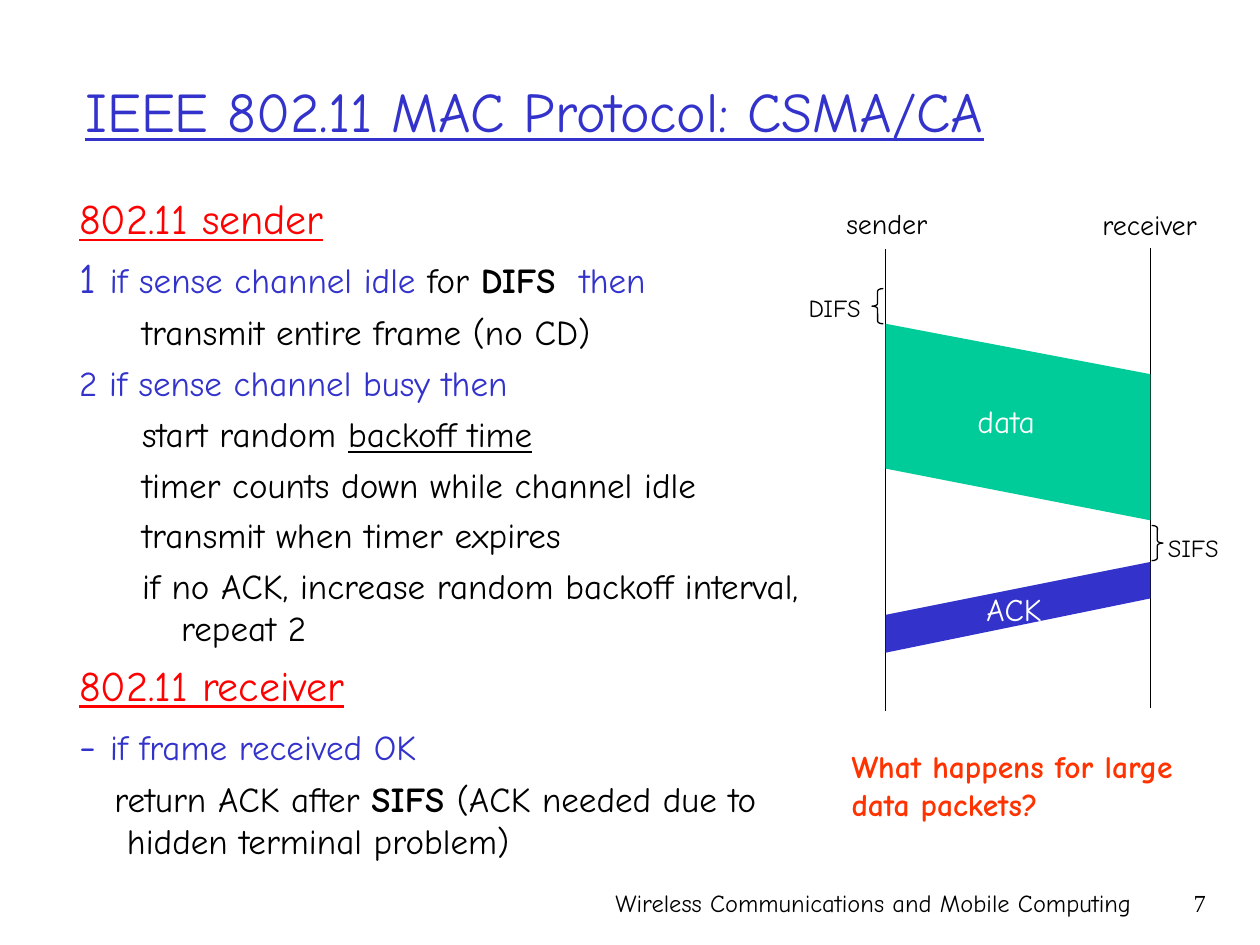
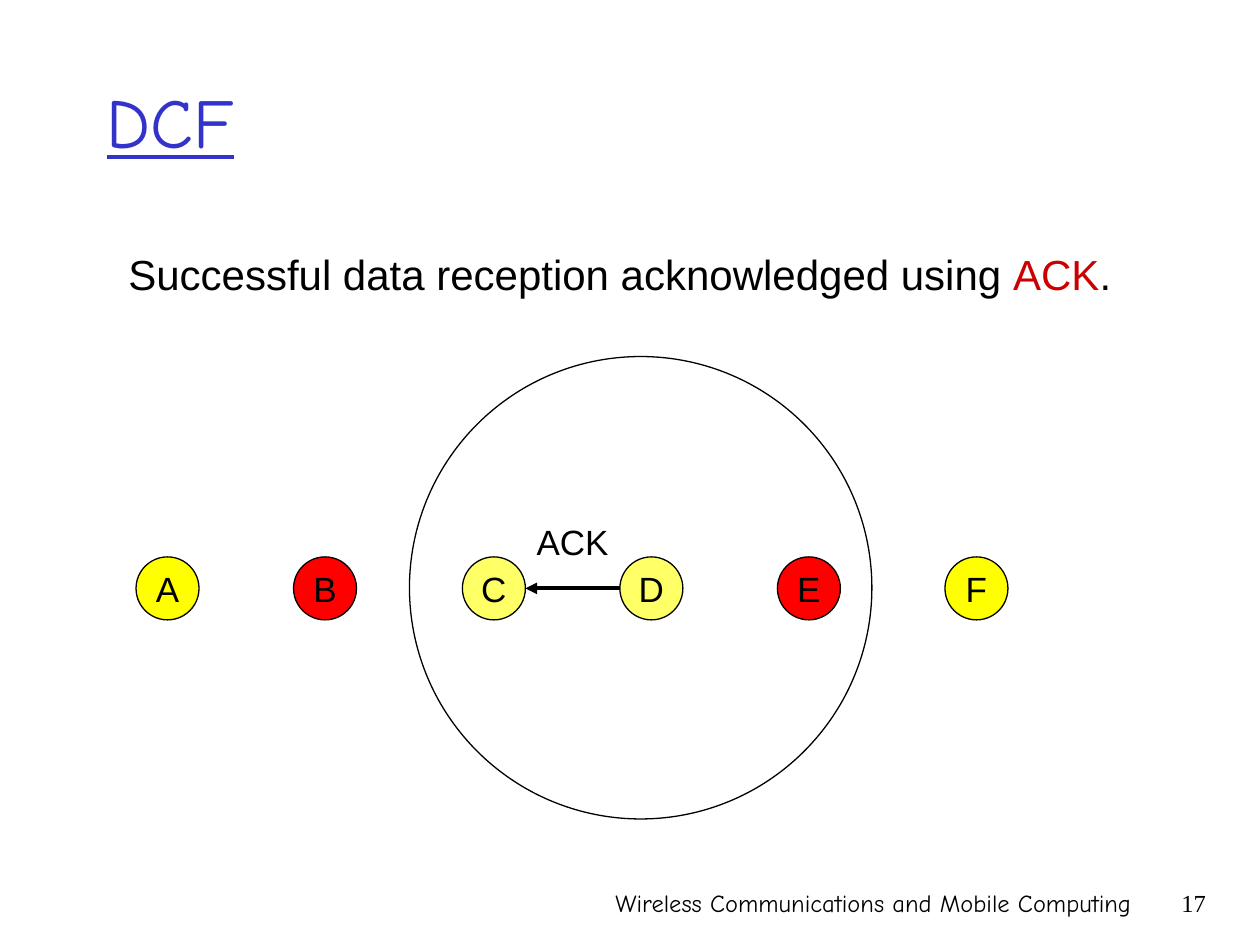
from pptx import Presentation
from pptx.dml.color import RGBColor
from pptx.enum.shapes import MSO_CONNECTOR as CONNECTOR, MSO_SHAPE as SHAPE
from pptx.enum.text import MSO_ANCHOR as ANCHOR, MSO_AUTO_SIZE as AUTO_SIZE, PP_ALIGN as ALIGN
from pptx.oxml.ns import qn
from pptx.util import Inches, Pt
from lxml import etree

COLORS = {
    "black": "000000", "white": "FFFFFF", "blue": "3333CC", "red": "FF0000",
    "green": "00CC99", "orange": "FF3300", "dark_red": "CC0000",
    "yellow": "FFFF00", "pale_yellow": "FFFF66",
}
COMIC, ARIAL, TIMES = "Comic Neue", "Arial", "Times New Roman"
COURSE = "Wireless Communications and Mobile Computing"
THIN = 0.74


def color(name):
    return RGBColor.from_string(COLORS[name])


# Text
def add_run(paragraph, text, size, ink="black", font=COMIC, bold=False, underline=False):
    run = paragraph.add_run()
    run.text = text
    run.font.size, run.font.name = Pt(size), font
    run.font.bold, run.font.underline = bold, underline
    run.font.color.rgb = color(ink)


def add_text(slide, box, text, size, ink="black", font=COMIC, align=ALIGN.LEFT,
             wrap=True, anchor=ANCHOR.TOP, **style):
    frame = slide.shapes.add_textbox(*map(Inches, box)).text_frame
    frame.word_wrap, frame.vertical_anchor = wrap, anchor
    if not wrap:
        frame.auto_size = AUTO_SIZE.SHAPE_TO_FIT_TEXT
    paragraph = frame.paragraphs[0]
    paragraph.alignment = align
    if text:
        add_run(paragraph, text, size, ink, font, **style)
    return frame


def add_title(slide, left, top, text, size):
    add_text(slide, (left, top, 8.5, 1.25), text, size, "blue",
             anchor=ANCHOR.MIDDLE, underline=True)


def add_footer(slide, number):
    add_text(slide, (3.86, 7, 5.22, 0.5), COURSE, 14, align=ALIGN.RIGHT)
    add_text(slide, (8.93, 7, 0.74, 0.5), str(number), 14, font=TIMES, align=ALIGN.RIGHT)


def add_step(frame, runs, margin, indent, before=5):
    """Add one paragraph; each run is (text, size, ink, style)."""
    paragraph = frame.paragraphs[0]
    if paragraph.runs:
        paragraph = frame.add_paragraph()
    paragraph.space_before = Pt(before)
    props = paragraph._p.get_or_add_pPr()
    props.set("marL", str(Inches(margin)))
    props.set("indent", str(Inches(indent)))
    for text, size, ink, style in runs:
        add_run(paragraph, text, size, ink, **style)


# Drawing
def add_line(slide, start, end, width=THIN, arrow=False):
    line = slide.shapes.add_connector(CONNECTOR.STRAIGHT, *map(Inches, start + end))
    line.line.color.rgb = color("black")
    line.line.width = Pt(width)
    if arrow:
        etree.SubElement(line.line._get_or_add_ln(), qn("a:tailEnd"), type="triangle")
    etree.SubElement(line._element.spPr, qn("a:effectLst"))


def add_outline(slide, kind, box, fill=None):
    shape = slide.shapes.add_shape(kind, *map(Inches, box))
    shape.shadow.inherit = False
    if fill:
        shape.fill.solid()
        shape.fill.fore_color.rgb = color(fill)
    else:
        shape.fill.background()
    shape.line.color.rgb = color("black")
    shape.line.width = Pt(THIN)
    return shape


def add_brace(slide, kind, left, top):
    brace = add_outline(slide, kind, (left, top, 0.09, 0.28))
    brace.adjustments[0] = 0.22


def add_transfer(slide, corners, fill):
    points = [(Inches(x), Inches(y)) for x, y in corners]
    builder = slide.shapes.build_freeform(*points[0])
    builder.add_line_segments(points[1:], close=True)
    band = builder.convert_to_shape()
    band.shadow.inherit = False
    band.fill.solid()
    band.fill.fore_color.rgb = color(fill)
    band.line.fill.background()


def add_station(slide, letter, left, top, fill):
    frame = add_outline(slide, SHAPE.OVAL, (left, top, 0.5, 0.5), fill).text_frame
    frame.word_wrap, frame.vertical_anchor = False, ANCHOR.MIDDLE
    frame.paragraphs[0].alignment = ALIGN.CENTER
    add_run(frame.paragraphs[0], letter, 20, font=ARIAL)


# Slides
def build_protocol_steps(slide):
    frame = add_text(slide, (0.53, 1.48, 6.16, 5.42), "", 20)
    bold, underline, plain = {"bold": True}, {"underline": True}, {}

    def heading(text):
        add_step(frame, [(text, 24, "red", underline)], 0.38, -0.38, before=6)

    def condition(*runs):
        add_step(frame, runs, 0.38, -0.38)

    def action(text, underlined=None):
        runs = [(text, 20, "black", plain)]
        if underlined:
            runs.append((underlined, 20, "black", underline))
        add_step(frame, runs, 0.81, -0.31)

    heading("802.11 sender")
    condition(("1 ", 24, "blue", plain), ("if sense channel idle", 20, "blue", plain),
              (" for ", 20, "black", plain), ("DIFS ", 20, "black", bold),
              (" then", 20, "blue", plain))
    action("transmit entire frame (no CD)")
    condition(("2 if sense channel busy then", 20, "blue", plain))
    action("start random ", "backoff time")
    action("timer counts down while channel idle")
    action("transmit when timer expires")
    action("if no ACK, increase random backoff interval, repeat 2")
    heading("802.11 receiver")
    condition(("- ", 24, "blue", plain), ("if frame received OK", 20, "blue", plain))
    add_step(frame, [("return ACK after ", 20, "black", plain),
                     ("SIFS ", 20, "black", bold),
                     ("(ACK needed due to hidden terminal problem)", 20, "black", plain)],
             0.38, -0.1)


def build_timing_diagram(slide):
    sender, receiver = 7.03, 9.13
    add_line(slide, (sender, 1.98), (sender, 5.64))
    add_line(slide, (receiver, 1.97), (receiver, 5.62))
    add_transfer(slide, [(sender, 2.57), (receiver, 2.97), (receiver, 4.13), (sender, 3.72)],
                 "green")
    add_transfer(slide, [(sender, 5.18), (receiver, 4.75), (receiver, 4.46), (sender, 4.88)],
                 "blue")
    add_brace(slide, SHAPE.LEFT_BRACE, 6.92, 2.29)
    add_brace(slide, SHAPE.RIGHT_BRACE, 9.14, 4.17)
    for text, box, size, ink in [
        ("sender", (6.62, 1.59, 0.84, 0.37), 16, "black"),
        ("receiver", (8.65, 1.6, 0.96, 0.37), 16, "black"),
        ("DIFS", (6.32, 2.28, 0.62, 0.34), 14, "black"),
        ("SIFS", (9.17, 4.18, 0.64, 0.34), 14, "black"),
        ("data", (7.66, 3.14, 0.66, 0.4), 18, "white"),
        ("ACK", (7.73, 4.63, 0.64, 0.4), 18, "white"),
    ]:
        add_text(slide, box, text, size, ink, wrap=False)


def build_protocol_slide(slide):
    add_footer(slide, 7)
    add_title(slide, 0.58, 0.25, "IEEE 802.11 MAC Protocol: CSMA/CA", 32)
    build_protocol_steps(slide)
    build_timing_diagram(slide)
    add_text(slide, (6.66, 5.88, 3.05, 0.7), "What happens for large data packets?",
             18, "orange", bold=True)


def build_dcf_slide(slide):
    add_footer(slide, 17)
    add_title(slide, 0.75, 0.33, "DCF", 40)

    # Stations in a row, with the acknowledgement from D to C
    row_top = 4.42
    for letter, left, fill in [
        ("A", 1.08, "yellow"), ("B", 2.33, "red"), ("C", 3.67, "pale_yellow"),
        ("D", 4.92, "pale_yellow"), ("E", 6.17, "red"), ("F", 7.5, "yellow"),
    ]:
        add_station(slide, letter, left, row_top, fill)
    add_line(slide, (4.92, row_top + 0.25), (4.17, row_top + 0.25), 2.24, arrow=True)
    add_text(slide, (4.16, 4.08, 0.77, 0.44), "ACK", 20, font=ARIAL,
             align=ALIGN.CENTER, wrap=False)

    # Radio range of D
    add_outline(slide, SHAPE.OVAL, (3.25, 2.83, 3.67, 3.67))

    frame = add_text(slide, (0.92, 1.92, 8.17, 0.5),
                     "Successful data reception acknowledged using ", 24, font=ARIAL)
    summary = frame.paragraphs[0]
    summary.space_before = Pt(6)
    add_run(summary, "ACK", 24, "dark_red", ARIAL)
    add_run(summary, ".", 24, font=ARIAL)


def main():
    deck = Presentation()
    deck.slide_width, deck.slide_height = Inches(10), Inches(7.5)
    blank = deck.slide_layouts[6]
    for build in (build_protocol_slide, build_dcf_slide):
        build(deck.slides.add_slide(blank))
    deck.save("out.pptx")


main()
